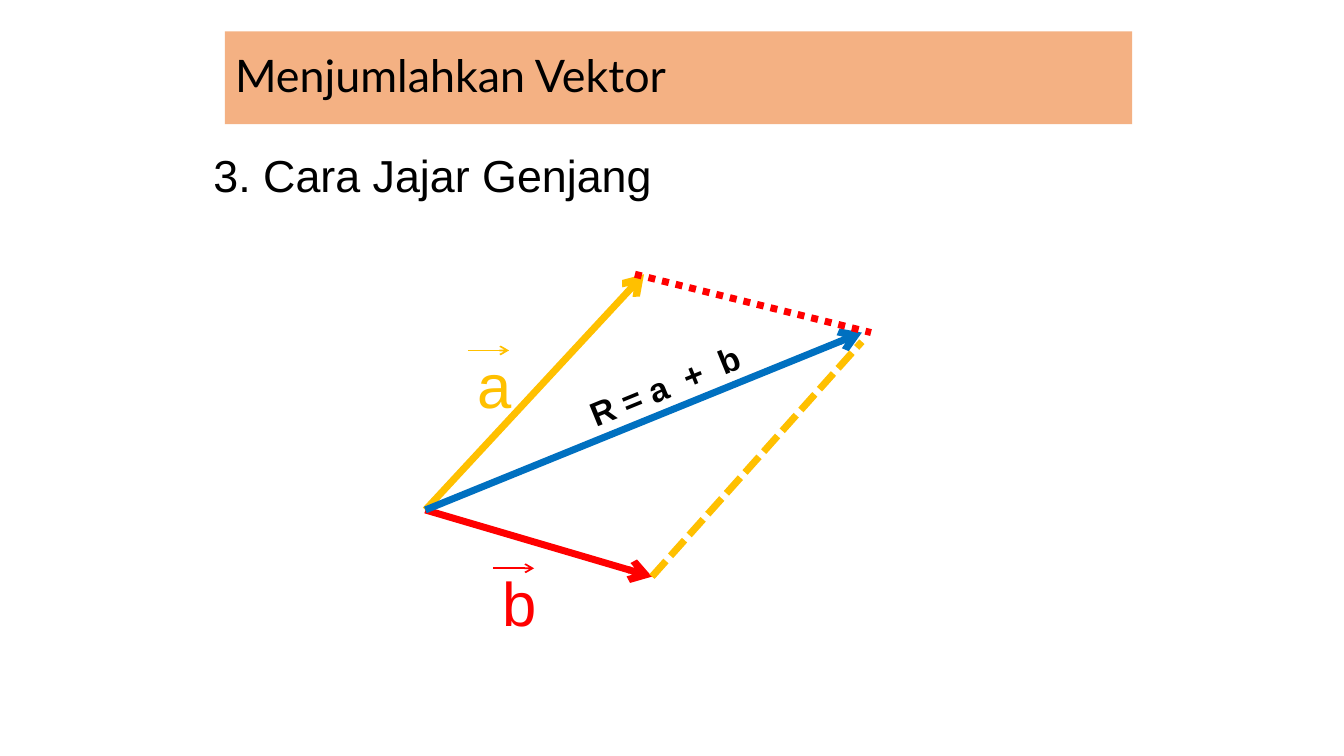
from typing import NamedTuple, Optional

from lxml import etree
from pptx import Presentation
from pptx import util as u
from pptx.dml.color import RGBColor
from pptx.enum import dml, shapes, text
from pptx.oxml import ns

RED = RGBColor(0xFF, 0x00, 0x00)
GOLD = RGBColor(0xFF, 0xC0, 0x00)
BLUE = RGBColor(0x00, 0x70, 0xC0)
BLACK = RGBColor(0x00, 0x00, 0x00)
PEACH = RGBColor(0xF4, 0xB1, 0x83)

Point = tuple[float, float]
Box = tuple[float, float, float, float]


class Vector(NamedTuple):
    start: Point
    end: Point
    color: RGBColor
    width: float = 5
    dash: Optional[dml.MSO_LINE] = None  # a dashed side has no arrowhead


class Label(NamedTuple):
    name: str
    left: float
    top: float
    color: RGBColor


# Parallelogram corners, in cm
START: Point = (10.72, 12.85)
TIP_A: Point = (16.23, 6.91)
TIP_B: Point = (16.43, 14.53)
TIP_R: Point = (21.72, 8.38)

VECTORS = [
    Vector(START, TIP_B, RED),
    Vector(START, TIP_A, GOLD),
    Vector(START, TIP_R, BLUE),
    Vector((16.0, 6.91), (21.95, 8.38), RED, dash=dml.MSO_LINE.ROUND_DOT),
    Vector(TIP_B, (21.72, 8.61), GOLD, dash=dml.MSO_LINE.SQUARE_DOT),
]
LABELS = [Label("b", 12.42, 14.1, RED), Label("a", 11.79, 8.61, GOLD)]


def write(frame, words: str, *, size: float, color: RGBColor = BLACK,
          font: str = "Arial", bold: bool = False) -> None:
    run = frame.paragraphs[0].add_run()
    run.text = words
    run.font.name = font
    run.font.size = u.Pt(size)
    run.font.bold = bold
    run.font.color.rgb = color


def add_text(parent, box: Box, words: str, *, turn: float = 0, **style):
    item = parent.add_textbox(*map(u.Cm, box))
    item.rotation = turn
    item.text_frame.word_wrap = False
    item.text_frame.auto_size = text.MSO_AUTO_SIZE.SHAPE_TO_FIT_TEXT
    write(item.text_frame, words, **style)


def add_line(parent, vec: Vector) -> None:
    item = parent.add_connector(shapes.MSO_CONNECTOR.STRAIGHT,
                                *map(u.Cm, vec.start + vec.end))
    item.line.color.rgb = vec.color
    item.line.width = u.Pt(vec.width)
    props = item._element.spPr
    if vec.dash is not None:
        item.line.dash_style = vec.dash
    else:
        edge = props.find(ns.qn("a:ln"))
        etree.SubElement(edge, ns.qn("a:tailEnd"), type="arrow")
    etree.SubElement(props, ns.qn("a:effectLst"))


def add_label(parent, label: Label) -> None:
    """A vector name with a small arrow above it."""
    group = parent.add_group_shape().shapes
    add_text(group, (label.left, label.top, 1.4, 2.13), label.name,
             size=44, color=label.color)
    high = label.top + 0.22
    add_line(group, Vector((label.left, high), (label.left + 1.04, high),
                           label.color, width=1.25))


def add_title(slide, words: str) -> None:
    title = slide.shapes.title
    title.left, title.top, title.width, title.height = map(
        u.Cm, (5.67, 0.79, 22.86, 2.34))
    title.fill.solid()
    title.fill.fore_color.rgb = PEACH
    frame = title.text_frame
    frame.vertical_anchor = text.MSO_ANCHOR.MIDDLE
    frame.paragraphs[0].alignment = text.PP_ALIGN.LEFT
    frame.paragraphs[0].line_spacing = 0.9
    write(frame, words, size=32, font="Lato")


def main() -> None:
    deck = Presentation()
    deck.slide_width, deck.slide_height = u.Cm(33.87), u.Cm(19.05)
    slide = deck.slides.add_slide(deck.slide_layouts[5])
    canvas = slide.shapes

    # Headings
    add_title(slide, "Menjumlahkan Vektor")
    add_text(canvas, (5.13, 3.61, 11.63, 1.63), "3. Cara Jajar Genjang", size=32)

    # Parallelogram
    for vec in VECTORS:
        add_line(canvas, vec)

    # Vector names
    for label in LABELS:
        add_label(canvas, label)
    add_text(canvas, (14.5, 9.07, 4.55, 1.27), "R = a  +  b",
             turn=337.8, size=24, bold=True)

    deck.save("out.pptx")


if __name__ == "__main__":
    main()
